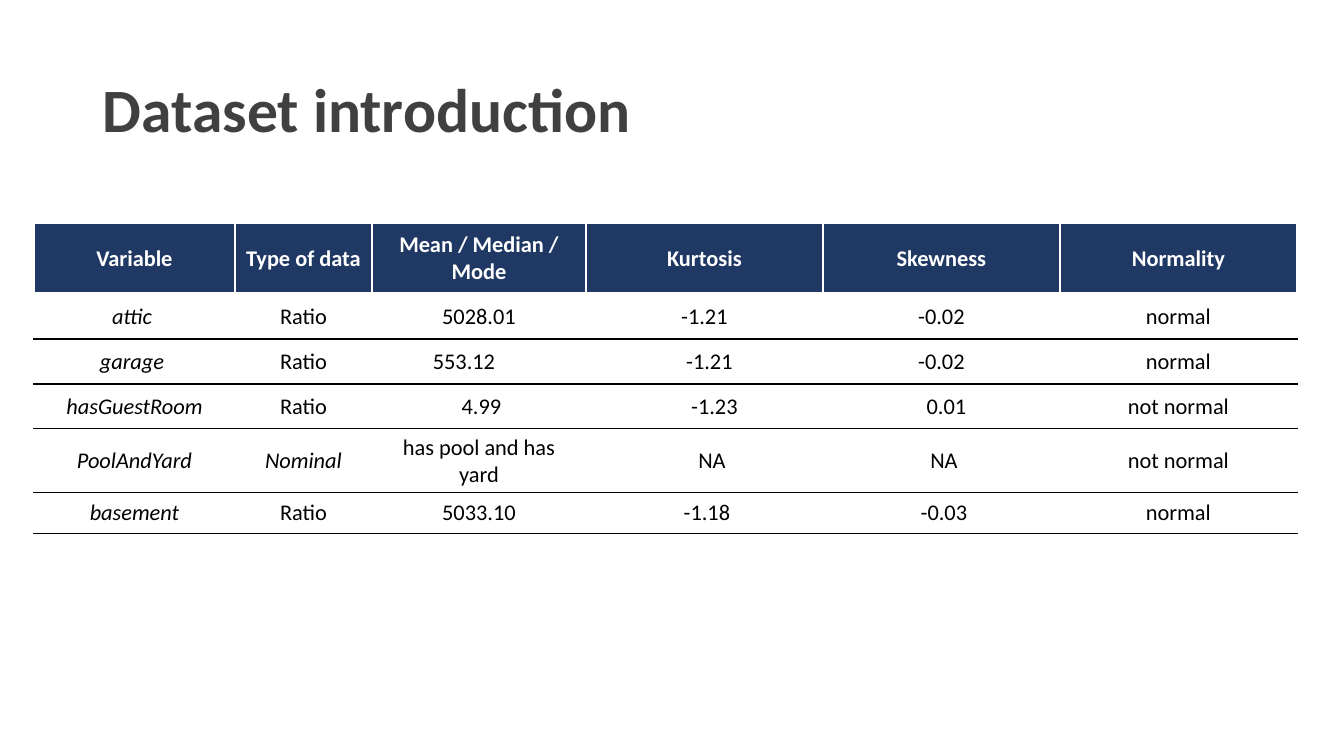
from lxml import etree
from pptx import Presentation, util as u
from pptx.dml.color import RGBColor
from pptx.enum import text
from pptx.oxml.ns import qn

# Content: a number after a text is its side indent in px (negative: from the right)
TITLE = "Dataset introduction"
HEADINGS = ["Variable", "Type of data", "Mean / Median / Mode", "Kurtosis", "Skewness", "Normality"]
VARIABLES = [
    [("attic", -5), "Ratio", "5028.01", "-1.21", "-0.02", "normal"],
    [("garage", -5), "Ratio", ("553.12", -30), ("-1.21", 10), "-0.02", "normal"],
    ["hasGuestRoom", "Ratio", ("4.99", 5), ("-1.23", 20), ("0.01", 10), "not normal"],
    ["PoolAndYard", "Nominal", "has pool and has yard", ("NA", 15), ("NA", 5), "not normal"],
    ["basement", "Ratio", "5033.10", ("-1.18", 5), ("-0.03", 5), "normal"],
]
ITALIC = {"attic", "garage", "hasGuestRoom", "PoolAndYard", "Nominal", "basement"}

THEME = {
    "font": "Calibri", "title_size": 44, "cell_size": 16,
    "title": "404040", "header": "203864", "ink": "000000", "paper": "FFFFFF",
}

# Geometry in px
SCALE = 914400 / 100.8
SLIDE = (1344, 756)
TITLE_BOX = (93, 40, 1159, 146)
TABLE_AT = (34, 223)
COLUMNS = [201, 137, 214, 237, 237, 237]
ROWS = [71, 45, 45, 45, 45, 41]
CELL_MARGIN = 10


def px(length):
    return u.Emu(round(length * SCALE))


def style(paragraph, size, color, bold=False, italic=False):
    for run in paragraph.runs:
        font = run.font
        font.name, font.size = THEME["font"], u.Pt(size)
        font.bold, font.italic = bold, italic
        font.color.rgb = RGBColor.from_string(color)


def set_borders(cell, top, bottom, bottom_width):
    sides = [("a:lnL", THEME["paper"], 1), ("a:lnR", THEME["paper"], 1),
             ("a:lnT", top, 1), ("a:lnB", bottom, bottom_width)]
    properties = cell._tc.get_or_add_tcPr()
    for position, (side, color, width) in enumerate(sides):
        line = etree.Element(qn(side), w=str(u.Pt(width)))
        fill = etree.SubElement(line, qn("a:solidFill"))
        etree.SubElement(fill, qn("a:srgbClr"), val=color)
        properties.insert(position, line)


def fill_cell(cell, entry, row):
    label, indent = entry if isinstance(entry, tuple) else (entry, 0)
    header = row == 0
    paper, ink = THEME["paper"], THEME["ink"]
    cell.text_frame.text = label
    cell.vertical_anchor = text.MSO_ANCHOR.MIDDLE
    cell.margin_left = px(CELL_MARGIN + max(indent, 0))
    cell.margin_right = px(CELL_MARGIN + max(-indent, 0))
    cell.fill.solid()
    cell.fill.fore_color.rgb = RGBColor.from_string(THEME["header"] if header else paper)
    paragraph = cell.text_frame.paragraphs[0]
    paragraph.alignment = text.PP_ALIGN.CENTER
    style(paragraph, THEME["cell_size"], paper if header else ink, header, label in ITALIC)
    set_borders(cell, paper if row < 2 else ink, paper if header else ink, 3 if header else 1)


def main():
    deck = Presentation()
    deck.slide_width, deck.slide_height = map(px, SLIDE)
    slide = deck.slides.add_slide(deck.slide_layouts[6])

    # Title
    title = slide.shapes.add_textbox(*map(px, TITLE_BOX)).text_frame
    title.word_wrap = True
    title.vertical_anchor = text.MSO_ANCHOR.MIDDLE
    title.text = TITLE
    title.paragraphs[0].line_spacing = 0.9
    style(title.paragraphs[0], THEME["title_size"], THEME["title"], bold=True)

    # Table of variables
    frame = (*TABLE_AT, sum(COLUMNS), sum(ROWS))
    table = slide.shapes.add_table(len(ROWS), len(COLUMNS), *map(px, frame)).table
    table.horz_banding = False
    for column, width in zip(table.columns, COLUMNS):
        column.width = px(width)
    for row, height in zip(table.rows, ROWS):
        row.height = px(height)
    for row, entries in enumerate([HEADINGS] + VARIABLES):
        for column, entry in enumerate(entries):
            fill_cell(table.cell(row, column), entry, row)

    deck.save("out.pptx")


if __name__ == "__main__":
    main()
